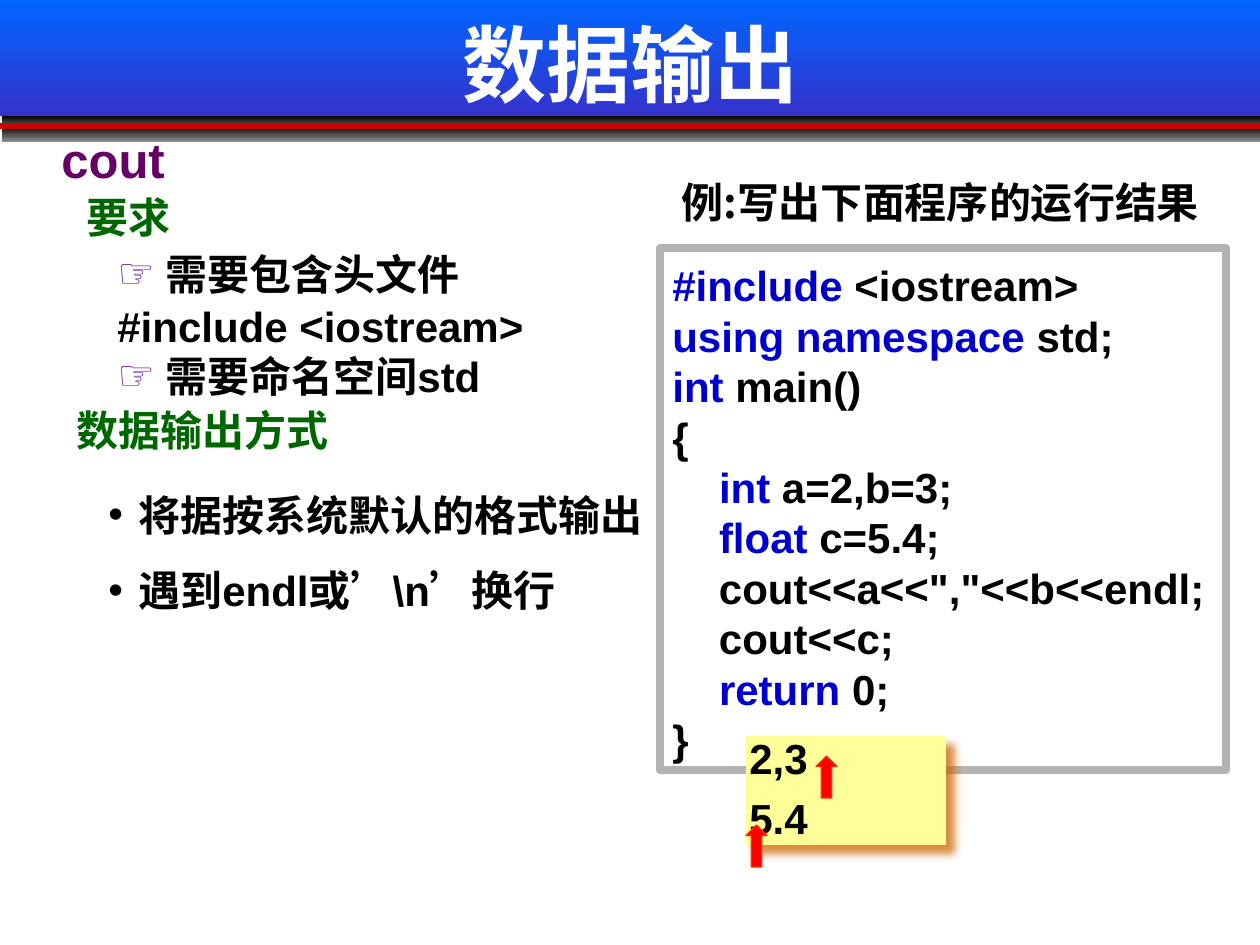
from lxml import etree
from pptx import Presentation
from pptx.dml.color import RGBColor
from pptx.enum.shapes import MSO_CONNECTOR, MSO_SHAPE
from pptx.enum.text import MSO_ANCHOR, MSO_AUTO_SIZE, PP_ALIGN
from pptx.oxml import parse_xml
from pptx.oxml.ns import nsdecls, qn
from pptx.util import Pt

EMU_PER_PX = 914400 / 126
LATIN, CJK = "Arial", "Noto Sans CJK SC"

WHITE = RGBColor(0xFF, 0xFF, 0xFF)
BLACK = RGBColor(0, 0, 0)
SKY = RGBColor(0x00, 0x66, 0xFF)
INDIGO = RGBColor(0x33, 0x33, 0xCC)
GRAY = RGBColor(0x92, 0x92, 0x92)
FRAME = RGBColor(0xB3, 0xB3, 0xB3)
SHADE = RGBColor(0x80, 0x80, 0x80)
RULE = RGBColor(0xCC, 0, 0)
PURPLE = RGBColor(0x66, 0x00, 0x66)
VIOLET = RGBColor(0x70, 0x30, 0xA0)
GREEN = RGBColor(0x00, 0x66, 0x00)
KEYWORD = RGBColor(0x00, 0x00, 0xCC)
YELLOW = RGBColor(0xFF, 0xFF, 0x99)
ORANGE = RGBColor(0xCC, 0x66, 0x00)
RED = RGBColor(0xFF, 0, 0)
RED_EDGE = RGBColor(0xFF, 0x33, 0)

CODE = [  # indent, keyword, rest of the line
    ("", "#include ", "<iostream>"),
    ("", "using namespace ", "std;"),
    ("", "int", " main()"),
    ("", "", "{"),
    ("    ", "int", " a=2,b=3;"),
    ("    ", "float", " c=5.4;"),
    ("    ", "", 'cout<<a<<","<<b<<endl;'),
    ("    ", "", "cout<<c;"),
    ("    ", "return", " 0;"),
    ("", "", "}"),
]


def px(n):
    return round(n * EMU_PER_PX)


def add_run(p, text, color=BLACK, size=24, font=LATIN):
    r = p.add_run()
    r.text = text
    r.font.size, r.font.bold, r.font.name = Pt(size), True, font
    r.font.color.rgb = color
    etree.SubElement(r._r.get_or_add_rPr(), qn("a:ea"), typeface=CJK)


def set_frame(tf, anchor):
    tf.word_wrap = True
    tf.auto_size = MSO_AUTO_SIZE.NONE
    tf.vertical_anchor = anchor


def set_bullet(p, char, indent, color=BLACK):
    pPr = p._p.get_or_add_pPr()
    pPr.set("marL", str(px(indent)))
    pPr.set("indent", str(-px(indent)))
    bu_color = etree.SubElement(pPr, qn("a:buClr"))
    etree.SubElement(bu_color, qn("a:srgbClr"), val=str(color))
    etree.SubElement(pPr, qn("a:buFont"), typeface=LATIN)
    etree.SubElement(pPr, qn("a:buChar"), char=char)


def add_text(slide, x, y, w, h, text, color=BLACK, size=24, font=LATIN,
             anchor=MSO_ANCHOR.BOTTOM, bullet=None):
    tf = slide.shapes.add_textbox(px(x), px(y), px(w), px(h)).text_frame
    set_frame(tf, anchor)
    p = tf.paragraphs[0]
    if bullet:
        set_bullet(p, bullet, 48, VIOLET)
    add_run(p, text, color, size, font)


def add_box(slide, x, y, w, h, fill=None, line=None, width=0, kind=MSO_SHAPE.RECTANGLE):
    """A list of two colours as fill gives a gradient from top to bottom."""
    sp = slide.shapes.add_shape(kind, px(x), px(y), px(w), px(h))
    sp.shadow.inherit = False
    if isinstance(fill, list):
        sp.fill.gradient()
        sp.fill.gradient_angle = 270
        for stop, color in zip(sp.fill.gradient_stops, fill):
            stop.color.rgb = color
    elif fill:
        sp.fill.solid()
        sp.fill.fore_color.rgb = fill
    else:
        sp.fill.background()
    if line:
        sp.line.color.rgb = line
        sp.line.width = Pt(width)
    else:
        sp.line.fill.background()
    return sp


def add_shadow(sp, color, dist):
    sp._element.spPr.find(qn("a:effectLst")).append(parse_xml(
        f'<a:outerShdw {nsdecls("a")} blurRad="{Pt(5)}" dist="{Pt(dist)}" dir="2700000" '
        f'algn="tl" rotWithShape="0"><a:srgbClr val="{color}"><a:alpha val="75000"/>'
        '</a:srgbClr></a:outerShdw>'))


def add_header(slide, x, y, w, h):
    add_shadow(add_box(slide, x, y, w, h, [SKY, INDIGO]), SHADE, 3)
    # Title, brought in front of the band
    title = slide.shapes.title
    title.left, title.top, title.width, title.height = px(x + 95), px(y - 4), px(w - 189), px(134)
    slide.shapes._spTree.append(title._element)
    set_frame(title.text_frame, MSO_ANCHOR.MIDDLE)
    p = title.text_frame.paragraphs[0]
    p.alignment = PP_ALIGN.CENTER
    add_run(p, "数据输出", WHITE, 48)
    # Dark strips with the red rule
    for top in (116, 126):
        add_box(slide, x + 2, y + top, w - 2, 16, [BLACK, GRAY])
    rule = slide.shapes.add_connector(
        MSO_CONNECTOR.STRAIGHT, px(x), px(y + 126), px(x + w), px(y + 126))
    rule.line.color.rgb, rule.line.width = RULE, Pt(3)
    etree.SubElement(rule._element.spPr, qn("a:effectLst"))


def add_notes(slide, x, y, w):
    middle = MSO_ANCHOR.MIDDLE
    add_text(slide, x, y, 198, 72, "cout", PURPLE, 28, anchor=middle)
    add_text(slide, x + 25, y + 62, 456, 63, "要求", GREEN, font=CJK, anchor=middle)
    requirements = [(119, "需要包含头文件", "☞"), (171, "#include <iostream>", None),
                    (221, "需要命名空间std", "☞")]
    for top, text, bullet in requirements:
        add_text(slide, x + 56, y + top, 635, 63, text, bullet=bullet)
    add_text(slide, x + 15, y + 275, 406, 63, "数据输出方式", GREEN, font=CJK, anchor=middle)
    # Output rules
    tf = slide.shapes.add_textbox(px(x + 47), px(y + 339), px(w), px(155)).text_frame
    set_frame(tf, middle)
    for i, text in enumerate(["将据按系统默认的格式输出", r"遇到endl或’\n’换行"]):
        p = tf.add_paragraph() if i else tf.paragraphs[0]
        set_bullet(p, "•", 30)
        p.line_spacing = 1.5
        add_run(p, text)


def add_example(slide, x, y, w, h):
    add_text(slide, x + 9, y - 78, 645, 63, "例:写出下面程序的运行结果", font=CJK)
    tf = add_box(slide, x, y, w, h, line=FRAME, width=4.5).text_frame
    set_frame(tf, MSO_ANCHOR.BOTTOM)
    for i, (indent, keyword, rest) in enumerate(CODE):
        p = tf.add_paragraph() if i else tf.paragraphs[0]
        p.alignment = PP_ALIGN.LEFT
        if keyword:
            if indent:
                add_run(p, indent)
            add_run(p, keyword, KEYWORD)
            add_run(p, rest)
        else:
            add_run(p, indent + rest)


def add_result(slide, x, y, w, h):
    add_shadow(add_box(slide, x, y, w, h, YELLOW), ORANGE, 7.1)
    # Each output line with its cursor arrow
    for text, top, arrow_x, arrow_y in [("2,3", -10, 70, 20), ("5.4", 50, 0, 89)]:
        add_text(slide, x - 9, y + top, 189, 63, text)
        add_box(slide, x + arrow_x, y + arrow_y, 21, 42, RED, RED_EDGE, 0.75, MSO_SHAPE.UP_ARROW)


def main():
    prs = Presentation()
    prs.slide_width, prs.slide_height = px(1260), px(945)
    slide = prs.slides.add_slide(prs.slide_layouts[5])
    add_header(slide, 0, 0, 1260, 116)
    add_notes(slide, 49, 123, 605)
    add_example(slide, 660, 248, 566, 522)
    add_result(slide, 746, 736, 200, 109)
    prs.save("out.pptx")


if __name__ == "__main__":
    main()
